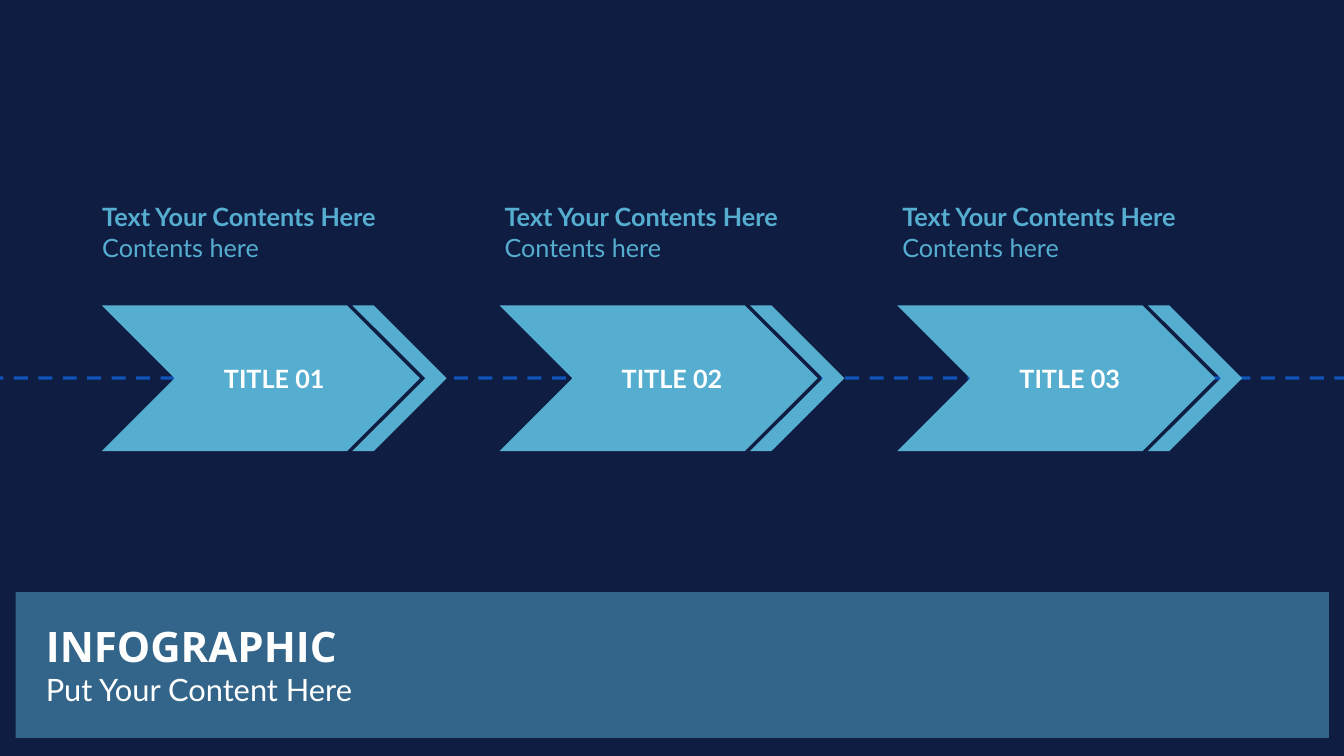
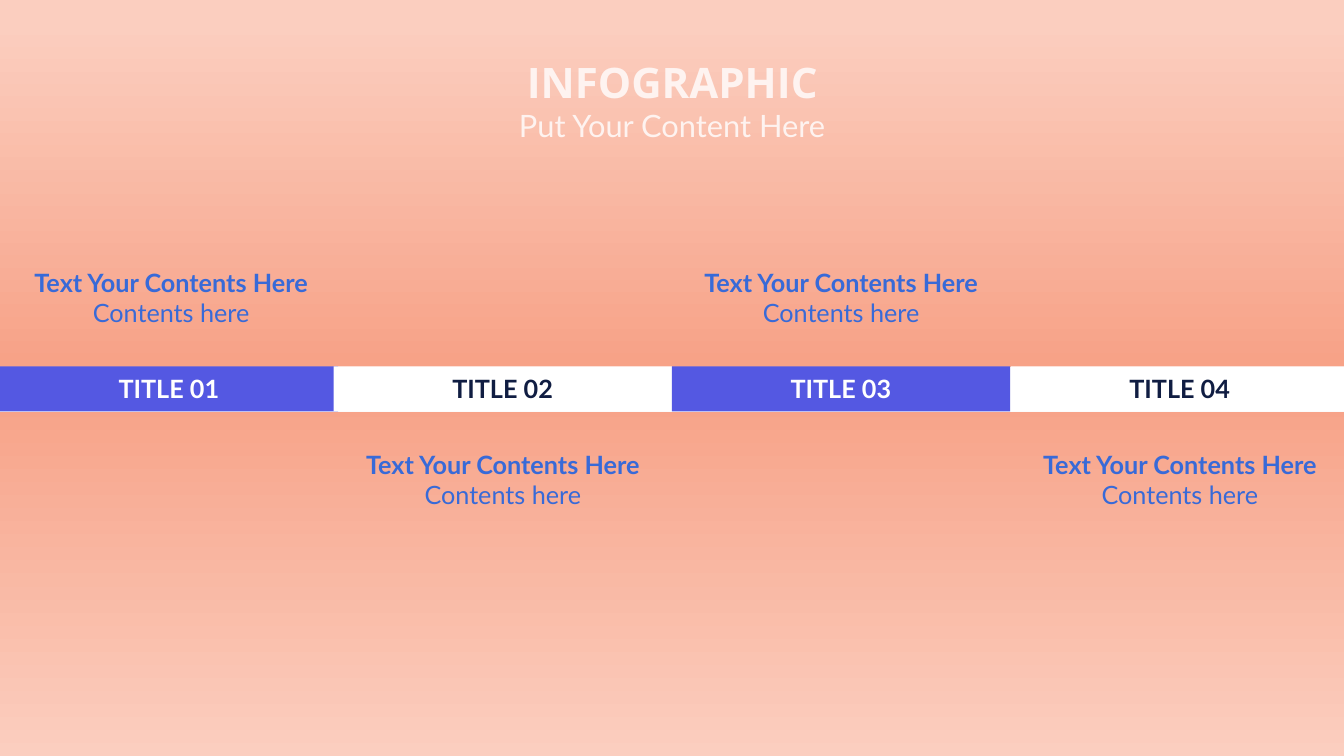
from copy import deepcopy

from lxml import etree
from pptx import Presentation, util as u
from pptx.dml.color import RGBColor
from pptx.enum import dml, shapes, text
from pptx.oxml.ns import qn


class Theme:
    navy = RGBColor.from_string("101D42")
    sky = RGBColor.from_string("55AED0")
    line_blue = RGBColor.from_string("0F5BC9")
    text_blue = RGBColor.from_string("386AD8")
    violet = RGBColor.from_string("5458E2")
    peach = RGBColor.from_string("FBCEBF")
    coral = RGBColor.from_string("F7A085")
    cream = RGBColor.from_string("FEF3F0")
    off_white = RGBColor.from_string("FBFBFB")
    white = RGBColor.from_string("FFFFFF")
    heading_font = "Open Sans"
    body_font = "Lato"
    title_size = u.Pt(60)
    subtitle_size = u.Pt(44)
    body_size = u.Pt(36)


LEFT, CENTER = text.PP_ALIGN.LEFT, text.PP_ALIGN.CENTER
CAPTION = ["Text Your Contents Here", "Contents here"]


def add_block(container, kind, bounds, color):
    block = container.add_shape(kind, *map(u.Inches, bounds))
    block.shadow.inherit = False
    block.fill.solid()
    block.fill.fore_color.rgb = color
    block.line.fill.background()
    return block


def add_text(slide, bounds, lines, color, alignment):
    box = slide.shapes.add_textbox(*map(u.Inches, bounds))
    frame = box.text_frame
    frame.word_wrap = True
    frame.auto_size = text.MSO_AUTO_SIZE.SHAPE_TO_FIT_TEXT
    frame.text = "\n".join(lines)
    for index, paragraph in enumerate(frame.paragraphs):
        paragraph.alignment = alignment
        font = paragraph.runs[0].font
        font.name, font.size = Theme.body_font, Theme.body_size
        font.bold = index == 0
        font.color.rgb = color


presentation = Presentation()
presentation.slide_width = u.Inches(26.66)
presentation.slide_height = u.Inches(15)
title_layout = presentation.slide_layouts[5]
arrow_slide = presentation.slides.add_slide(title_layout)
timeline_slide = presentation.slides.add_slide(title_layout)

for slide, color in [(arrow_slide, Theme.navy), (timeline_slide, Theme.peach)]:
    slide.background.fill.solid()
    slide.background.fill.fore_color.rgb = color

title_band = add_block(
    arrow_slide.shapes, shapes.MSO_SHAPE.RECTANGLE, (0.31, 11.75, 26.05, 2.89), Theme.sky
)
dashed_line = arrow_slide.shapes.add_connector(
    shapes.MSO_CONNECTOR.STRAIGHT, *map(u.Inches, (-0.21, 7.5, 26.96, 7.5))
)
dashed_line.line.color.rgb = Theme.line_blue
dashed_line.line.width = u.Pt(5)
dashed_line.line.dash_style = dml.MSO_LINE.DASH
etree.SubElement(dashed_line.element.spPr, qn("a:effectLst"))
for shape, opacity in [(title_band, 50), (dashed_line, 90)]:
    color_element = next(shape.element.spPr.iter(qn("a:srgbClr")))
    etree.SubElement(color_element, qn("a:alpha"), val=str(opacity * 1000))

for index, caption_left in enumerate([1.93, 9.91, 17.8]):
    left = 2.02 + 7.89 * index
    arrow = arrow_slide.shapes.add_group_shape()
    add_block(arrow.shapes, shapes.MSO_SHAPE.CHEVRON, (left, 6.06, 6.31, 2.89), Theme.sky)
    tip = add_block(
        arrow.shapes, shapes.MSO_SHAPE.CHEVRON, (left + 4.97, 6.06, 1.87, 2.89), Theme.sky
    )
    tip.adjustments[0] = 0.774
    add_text(
        arrow_slide, (left + 1.54, 7.15, 3.76, 0.71),
        [f"TITLE {index + 1:02}"], Theme.white, CENTER,
    )
    add_text(arrow_slide, (caption_left, 3.95, 6.94, 1.31), CAPTION, Theme.sky, LEFT)

backdrop = add_block(
    timeline_slide.shapes, shapes.MSO_SHAPE.RECTANGLE, (-0.83, 0, 28.32, 15), Theme.peach
)
backdrop.fill.gradient()
backdrop.fill.gradient_angle = 270
stop_list = next(backdrop.element.spPr.iter(qn("a:gsLst")))
stop_list.append(deepcopy(stop_list[0]))
stops = [(0.03, Theme.peach), (0.5, Theme.coral), (1, Theme.peach)]
for stop, (position, color) in zip(backdrop.fill.gradient_stops, stops):
    stop.position = position
    stop.color.rgb = color

add_block(
    timeline_slide.shapes, shapes.MSO_SHAPE.RECTANGLE, (-0.83, 7.28, 28.32, 0.89), Theme.off_white
)
for index, (left, caption_left) in enumerate(
    [(0, 0.31), (6.62, 6.89), (13.33, 13.6), (20.05, 20.32)]
):
    if index % 2 == 0:
        tile_color, label_color, caption_top = Theme.violet, Theme.white, 5.25
    else:
        tile_color, label_color, caption_top = Theme.white, Theme.navy, 8.86
    add_block(
        timeline_slide.shapes, shapes.MSO_SHAPE.RECTANGLE, (left, 7.27, 6.71, 0.89), tile_color
    )
    add_text(
        timeline_slide, (left + 1.47, 7.36, 3.76, 0.71),
        [f"TITLE {index + 1:02}"], label_color, CENTER,
    )
    add_text(
        timeline_slide, (caption_left, caption_top, 6.17, 1.31), CAPTION, Theme.text_blue, CENTER
    )

title_styles = [
    (Theme.heading_font, Theme.title_size, True),
    (Theme.body_font, Theme.subtitle_size, False),
]
for slide, left, top, color, alignment in [
    (arrow_slide, 0.81, 12.28, Theme.white, LEFT),
    (timeline_slide, 8.45, 1.09, Theme.cream, CENTER),
]:
    title = slide.shapes.title
    slide.shapes.element.append(title.element)
    title.left, title.top = u.Inches(left), u.Inches(top)
    title.width, title.height = u.Inches(9.77), u.Inches(1.83)
    frame = title.text_frame
    frame.word_wrap = True
    frame.auto_size = text.MSO_AUTO_SIZE.NONE
    frame.vertical_anchor = text.MSO_ANCHOR.BOTTOM
    frame.text = "INFOGRAPHIC\nPut Your Content Here"
    for paragraph, (font_name, size, bold) in zip(frame.paragraphs, title_styles):
        paragraph.alignment = alignment
        paragraph.line_spacing = 0.9
        paragraph.space_after = u.Pt(6)
        font = paragraph.runs[0].font
        font.name, font.size, font.bold = font_name, size, bold
        font.color.rgb = color

presentation.save("out.pptx")
